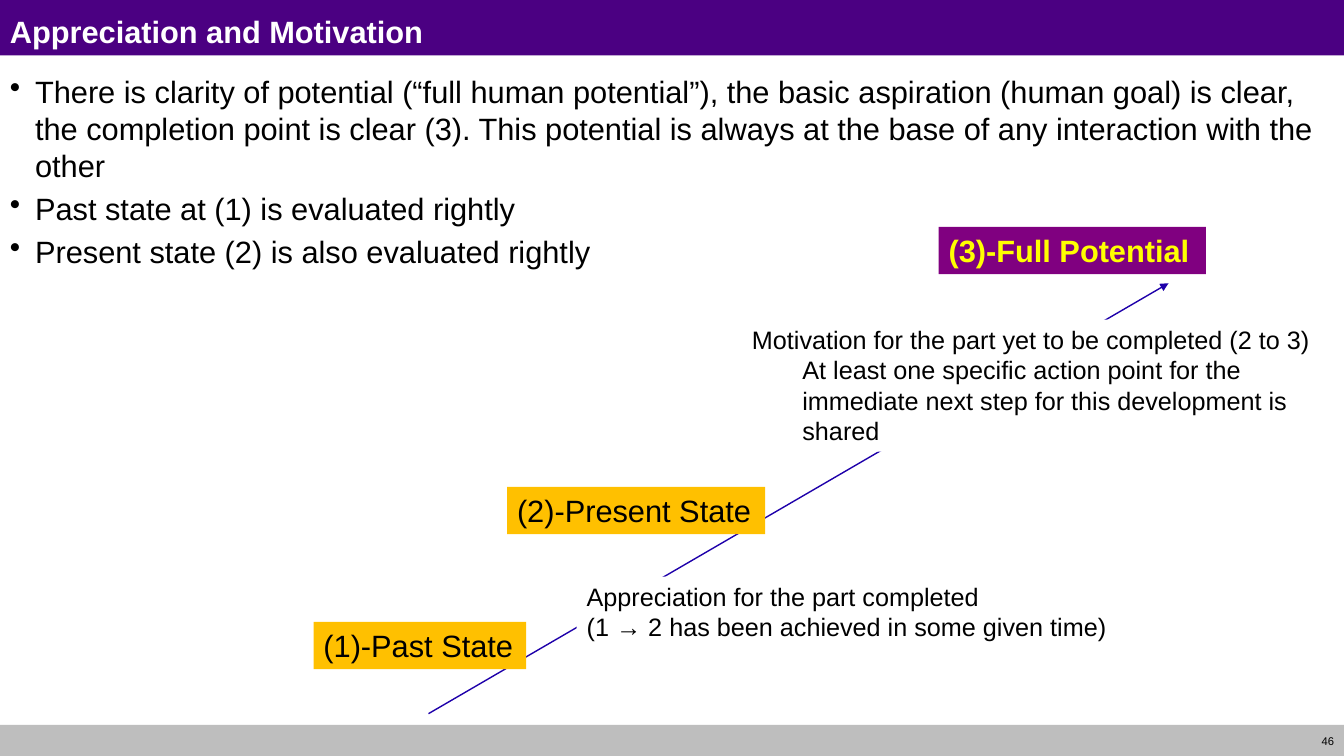
from pptx import Presentation
from pptx.dml.color import RGBColor
from pptx.enum.shapes import MSO_CONNECTOR as Link, MSO_SHAPE as Shape
from pptx.enum.text import MSO_ANCHOR as Anchor, PP_ALIGN as Align
from pptx.oxml.ns import qn
from pptx.util import Inches, Pt
from lxml.etree import SubElement

COLORS = {
    "bar": "4B0082", "foot": "BEBEBE", "line": "1E00AA", "goal": "800080",
    "state": "FFC000", "white": "FFFFFF", "black": "000000", "yellow": "FFFF00",
}
WIDTH, HEIGHT = 13.33, 7.5


def color(name):
    return RGBColor.from_string(COLORS[name])


def add_rect(slide, box, fill):
    rect = slide.shapes.add_shape(Shape.RECTANGLE, *map(Inches, box))
    rect.shadow.inherit = False
    rect.fill.solid()
    rect.fill.fore_color.rgb = color(fill)
    rect.line.fill.background()
    return rect


def add_box(slide, box):
    return slide.shapes.add_textbox(*map(Inches, box))


def write(shape, lines, size, ink="black", bold=False, align=Align.LEFT,
          anchor=Anchor.TOP, wrap=True):
    frame = shape.text_frame
    frame.text = "\n".join(lines)
    frame.word_wrap = wrap
    frame.vertical_anchor = anchor
    for para in frame.paragraphs:
        para.alignment = align
        font = para.font
        font.name, font.size, font.bold = "Arial", Pt(size), bold
        font.color.rgb = color(ink)
    return frame.paragraphs


def indent(para, left, first=0):
    props = para._p.get_or_add_pPr()
    props.set("marL", str(Inches(left)))
    props.set("indent", str(Inches(first)))
    return props


def add_head(slide, box, title):
    left, top, width, height = box
    add_rect(slide, box, "bar")
    text = add_box(slide, (left, top + 0.08, width, 0.42))
    write(text, [title], 22, "white", bold=True)


def add_foot(slide, box, number):
    left, top, width, height = box
    add_rect(slide, box, "foot")
    text = add_box(slide, (left + width - 0.62, top, 0.62, height))
    write(text, [number], 8, align=Align.RIGHT, anchor=Anchor.MIDDLE)


def add_points(slide, box, points):
    for para in write(add_box(slide, box), points, 22):
        props = indent(para, 0.25, -0.25)
        para.space_before = Pt(4.4)
        mark = props.makeelement(qn("a:buChar"), {"char": "•"})
        props.find(qn("a:defRPr")).addprevious(mark)


def add_arrow(slide, start, end):
    arrow = slide.shapes.add_connector(Link.STRAIGHT, *map(Inches, start + end))
    arrow.line.color.rgb = color("line")
    arrow.line.width = Pt(1)
    SubElement(arrow.line._ln, qn("a:tailEnd"), type="triangle")
    SubElement(arrow._element.spPr, qn("a:effectLst"))


def add_path(slide, box):
    left, top, width, height = box
    add_arrow(slide, (left + 1.14, top + height), (left + 8.48, top + 0.56))

    states = [
        (6.2, 0, 2.65, "(3)-Full Potential", "goal", "yellow", True),
        (1.92, 2.58, 2.56, "(2)-Present State", "state", "black", False),
        (0, 3.92, 2.11, "(1)-Past State", "state", "black", False),
    ]
    for x, y, wide, label, fill, ink, bold in states:
        rect = add_rect(slide, (left + x, top + y, wide, 0.47), fill)
        write(rect, [label], 22, ink, bold, wrap=bold)

    notes = [
        (2.61, 3.47, 7.19, 0.71, [
            "Appreciation for the part completed",
            "(1 → 2 has been achieved in some given time)"]),
        (4.25, 0.92, 5.92, 1.31, [
            "Motivation for the part yet to be completed (2 to 3)",
            "At least one specific action point for the immediate next step "
            "for this development is shared"]),
    ]
    for x, y, wide, tall, lines in notes:
        rect = add_rect(slide, (left + x, top + y, wide, tall), "white")
        paras = write(rect, lines, 18)
    paras[1].level = 1
    indent(paras[1], 0.5)


def main():
    deck = Presentation()
    deck.slide_width, deck.slide_height = Inches(WIDTH), Inches(HEIGHT)
    slide = deck.slides.add_slide(deck.slide_layouts[6])
    add_head(slide, (0, 0, WIDTH, 0.55), "Appreciation and Motivation")
    add_foot(slide, (0, 7.19, WIDTH, 0.32), "46")
    add_points(slide, (0, 0.67, WIDTH, 6.5), [
        "There is clarity of potential (“full human potential”), the basic "
        "aspiration (human goal) is clear, the completion point is clear (3). "
        "This potential is always at the base of any interaction with the other",
        "Past state at (1) is evaluated rightly",
        "Present state (2) is also evaluated rightly",
    ])
    add_path(slide, (3.11, 2.25, 10.17, 4.83))
    deck.save("out.pptx")


if __name__ == "__main__":
    main()
